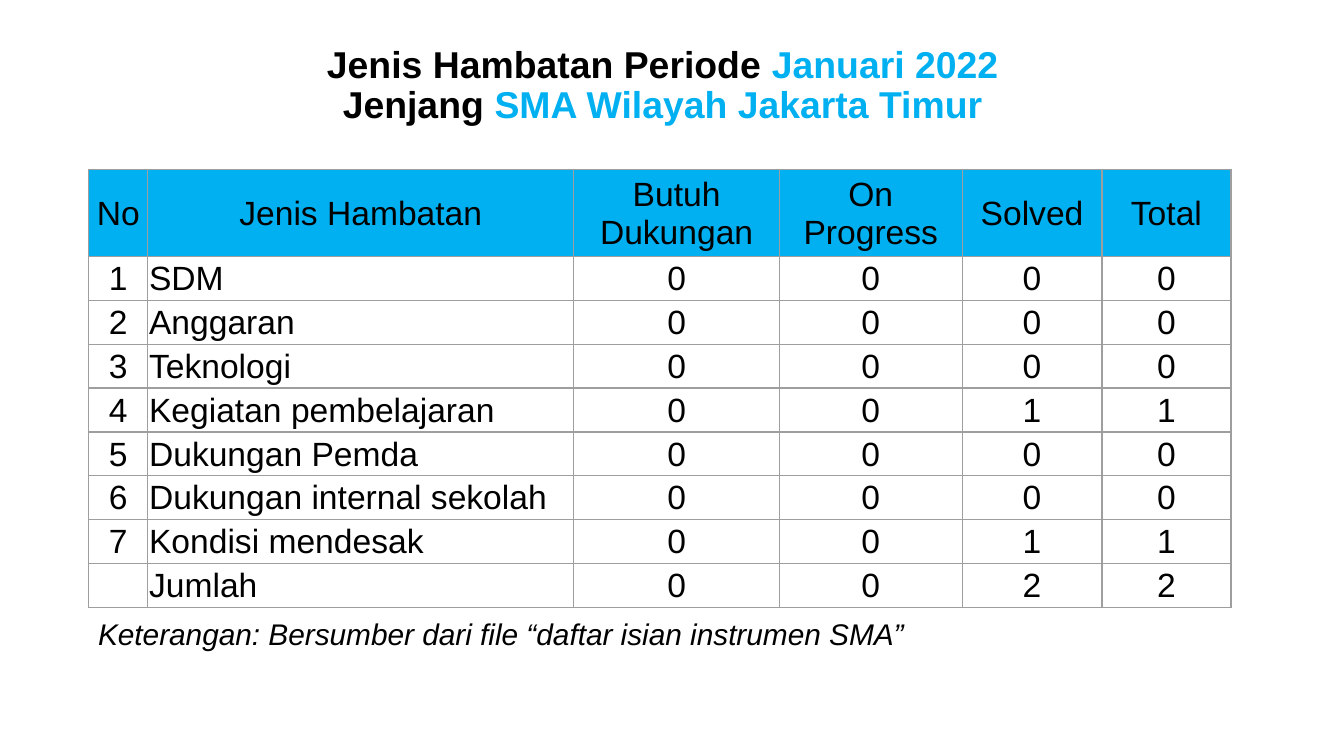
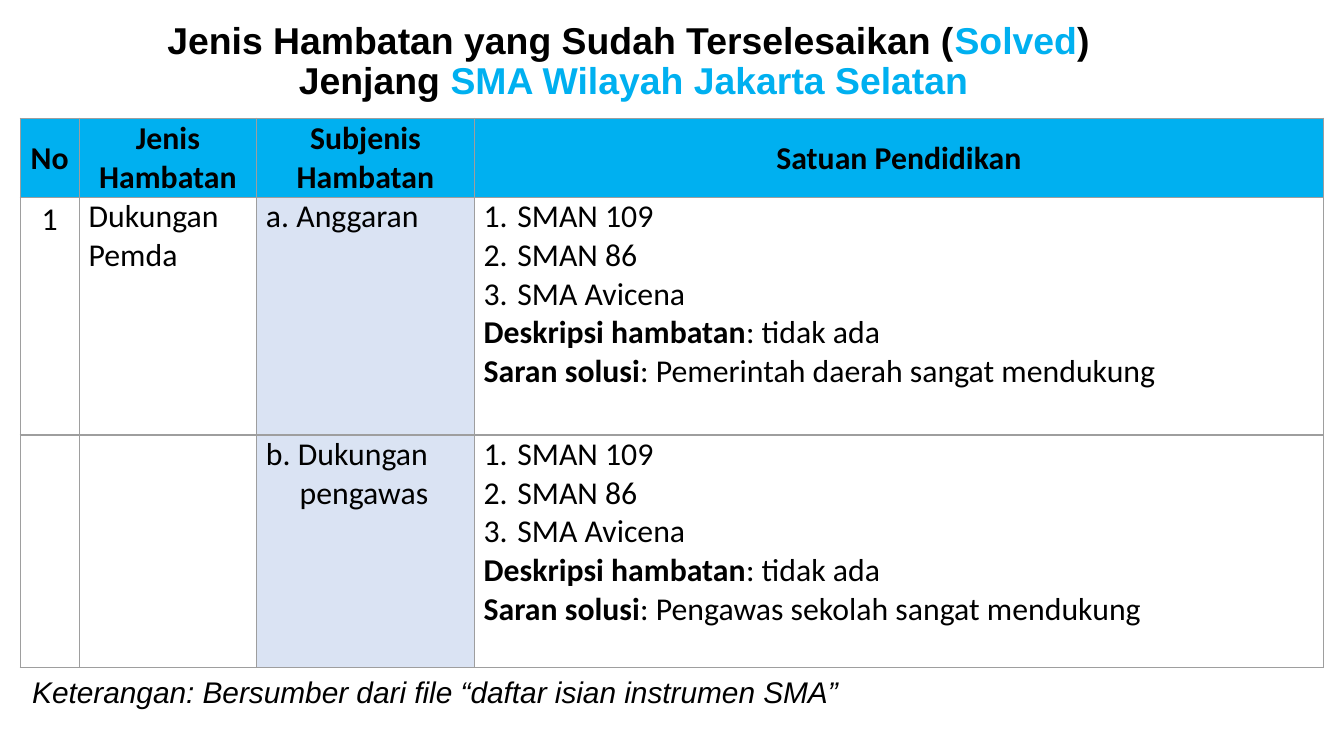
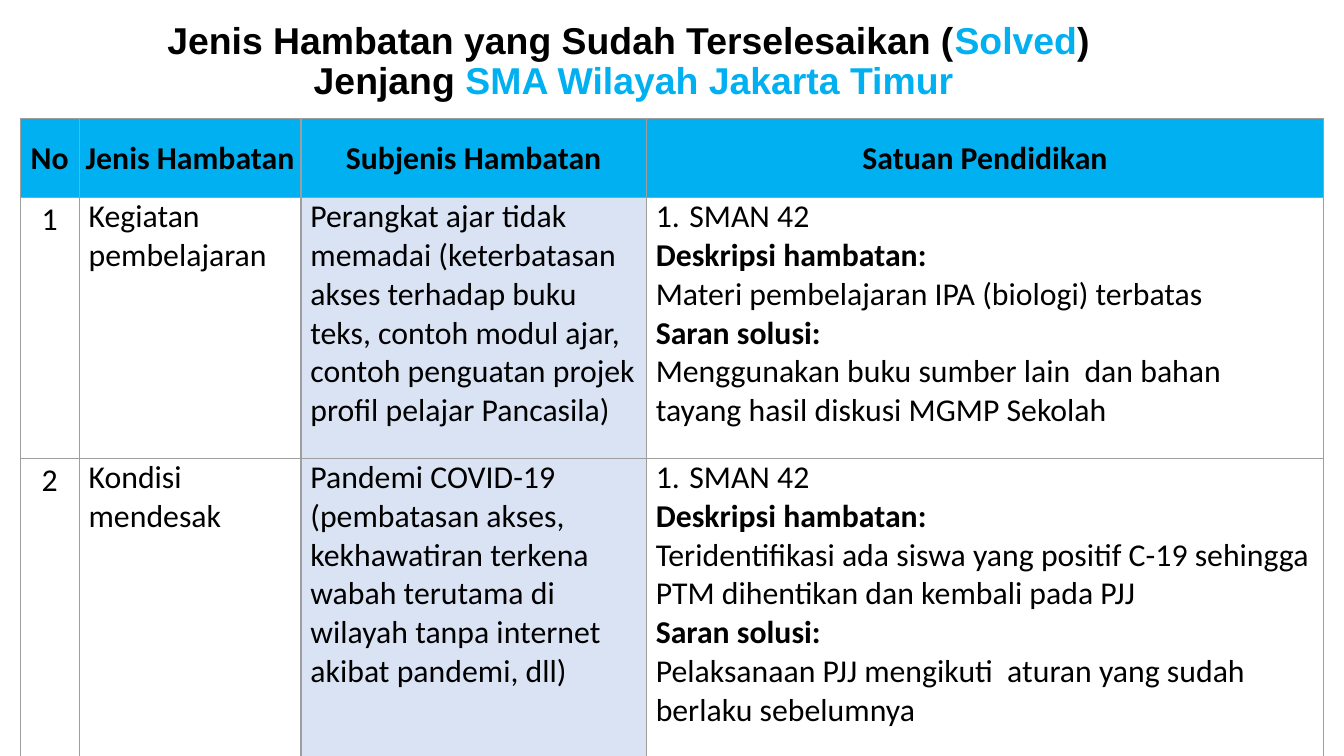
from copy import deepcopy

from lxml.etree import SubElement
from pptx import Presentation
from pptx.dml.color import RGBColor
from pptx.enum.text import MSO_ANCHOR, MSO_AUTO_SIZE, PP_ALIGN
from pptx.oxml import parse_xml
from pptx.oxml.ns import nsdecls, qn
from pptx.util import Inches, Pt

BLACK = RGBColor(0x00, 0x00, 0x00)
SKY = RGBColor(0x00, 0xB0, 0xF0)
PALE = RGBColor(0xDA, 0xE3, 0xF3)
GRID = RGBColor(0x9E, 0x9E, 0x9E)

SOURCE_NOTE = "Keterangan: Bersumber dari file “daftar isian instrumen SMA”"
SUMMARY_HEADER = ["No", "Jenis Hambatan", "Butuh Dukungan", "On Progress", "Solved", "Total"]
SOLVED_HEADER = ["No", "Jenis Hambatan", "Subjenis Hambatan", "Satuan Pendidikan"]
SUMMARY = [
    ("1", "SDM", 0, 0, 0, 0),
    ("2", "Anggaran", 0, 0, 0, 0),
    ("3", "Teknologi", 0, 0, 0, 0),
    ("4", "Kegiatan pembelajaran", 0, 0, 1, 1),
    ("5", "Dukungan Pemda", 0, 0, 0, 0),
    ("6", "Dukungan internal sekolah", 0, 0, 0, 0),
    ("7", "Kondisi mendesak", 0, 0, 1, 1),
    ("", "Jumlah", 0, 0, 2, 2),
]
SOUTH_SCHOOLS = ["SMAN 109", "SMAN 86", "SMA Avicena"]
EAST_SCHOOLS = ["SMAN 42"]
SOUTH = [
    ("1", "Dukungan Pemda", "a. Anggaran", SOUTH_SCHOOLS, [
        ("Deskripsi hambatan", ": tidak ada"),
        ("Saran solusi", ": Pemerintah daerah sangat mendukung")]),
    ("", "", "b. Dukungan pengawas", SOUTH_SCHOOLS, [
        ("Deskripsi hambatan", ": tidak ada"),
        ("Saran solusi", ": Pengawas sekolah sangat mendukung")]),
]
EAST = [
    ("1", "Kegiatan pembelajaran",
     "Perangkat ajar tidak memadai (keterbatasan akses terhadap buku teks, contoh modul ajar, "
     "contoh penguatan projek profil pelajar Pancasila)", EAST_SCHOOLS, [
         ("Deskripsi hambatan:", ""),
         ("", "Materi pembelajaran IPA (biologi) terbatas"),
         ("Saran solusi:", ""),
         ("", "Menggunakan buku sumber lain  dan bahan tayang hasil diskusi MGMP Sekolah")]),
    ("2", "Kondisi mendesak",
     "Pandemi COVID-19 (pembatasan akses,  kekhawatiran terkena wabah terutama di wilayah "
     "tanpa internet akibat pandemi, dll)", EAST_SCHOOLS, [
         ("Deskripsi hambatan:", ""),
         ("", "Teridentifikasi ada siswa yang positif C-19 sehingga PTM dihentikan dan kembali "
              "pada PJJ"),
         ("Saran solusi:", ""),
         ("", "Pelaksanaan PJJ mengikuti  aturan yang sudah berlaku sebelumnya")]),
]


def style_font(font, size, face, color=BLACK, bold=False, italic=False):
    """Apply size, face, colour and emphasis to a font."""
    font.size, font.name = Pt(size), face
    font.color.rgb = color
    font.bold, font.italic = bold, italic


def set_frame(frame, horizontal, vertical):
    """Give a text frame wrapping, fixed size, margins and a middle anchor."""
    frame.word_wrap = True
    frame.auto_size = MSO_AUTO_SIZE.NONE
    frame.margin_left = frame.margin_right = Inches(horizontal)
    frame.margin_top = frame.margin_bottom = Inches(vertical)
    frame.vertical_anchor = MSO_ANCHOR.MIDDLE


def add_title_slide(prs, box, lines):
    """Add a slide whose title lines are pieces, every second one in sky blue."""
    slide = prs.slides.add_slide(prs.slide_layouts[5])
    title = slide.shapes.title
    title.left, title.top, title.width, title.height = map(Inches, box)
    set_frame(title.text_frame, 0.07, 0.04)
    heading = title.text_frame.paragraphs[0]
    heading.alignment, heading.line_spacing = PP_ALIGN.CENTER, 0.9
    for number, pieces in enumerate(lines):
        if number:
            heading.add_line_break()
        for index, piece in enumerate(pieces):
            run = heading.add_run()
            run.text = piece
            style_font(run.font, 20, "Arial", SKY if index % 2 else BLACK, bold=True)
    for line_break in heading._p.findall(qn("a:br")):
        line_break.insert(0, deepcopy(heading.runs[0]._r.rPr))
    return slide


def add_source_note(slide, left, top):
    """Add the italic source line below a table."""
    note = slide.shapes.add_textbox(Inches(left), Inches(top), Inches(9.17), Inches(0.44))
    set_frame(note.text_frame, 0.07, 0.04)
    note.text_frame.text = SOURCE_NOTE
    line = note.text_frame.paragraphs[0]
    line.line_spacing = 0.9
    style_font(line.runs[0].font, 16, "Arial", italic=True)


def add_grid(slide, left, top, widths, heights):
    """Add a plain bordered table with the given column widths and row heights."""
    table = slide.shapes.add_table(
        len(heights), len(widths), Inches(left), Inches(top),
        Inches(sum(widths)), Inches(sum(heights))).table
    table.first_row = table.horz_banding = False
    for column, width in zip(table.columns, widths):
        column.width = Inches(width)
    for row, height in zip(table.rows, heights):
        row.height = Inches(height)
    for cell in table.iter_cells():
        cell.fill.background()
        cell.margin_left = cell.margin_right = cell.margin_top = Inches(0.01)
        cell.margin_bottom = 0
        for index, side in enumerate(("lnL", "lnR", "lnT", "lnB")):
            cell._tc.tcPr.insert(index, parse_xml(
                f'<a:{side} {nsdecls("a")} w="{Pt(0.75)}"><a:solidFill>'
                f'<a:srgbClr val="{GRID}"/></a:solidFill></a:{side}>'))
    return table


def fill_cell(cell, text, size, face, color=None, centred=True, bold=False):
    """Write one styled paragraph in a cell, with an optional fill."""
    cell.text = text
    cell.vertical_anchor = MSO_ANCHOR.MIDDLE
    if color is not None:
        cell.fill.solid()
        cell.fill.fore_color.rgb = color
    paragraph = cell.text_frame.paragraphs[0]
    paragraph.alignment = PP_ALIGN.CENTER if centred else PP_ALIGN.LEFT
    for run in paragraph.runs:
        style_font(run.font, size, face, bold=bold)
    return paragraph


def hang(paragraph):
    """Give a paragraph a hanging indent."""
    properties = paragraph._p.get_or_add_pPr()
    properties.set("marL", str(Inches(0.25)))
    properties.set("indent", str(Inches(-0.25)))
    return properties


def number_item(paragraph):
    """Make a paragraph an item of a black numbered list."""
    properties = hang(paragraph)
    bullet_color = SubElement(properties, qn("a:buClr"))
    SubElement(bullet_color, qn("a:srgbClr")).set("val", str(BLACK))
    SubElement(properties, qn("a:buAutoNum")).set("type", "arabicPeriod")


def fill_schools(cell, schools, remarks):
    """Write the numbered schools and then the remarks with bold labels."""
    lines = [("", school) for school in schools] + remarks
    for index, pieces in enumerate(lines):
        frame = cell.text_frame
        paragraph = frame.add_paragraph() if index else frame.paragraphs[0]
        if index < len(schools):
            number_item(paragraph)
        for piece, bold in zip(pieces, (True, False)):
            if piece:
                run = paragraph.add_run()
                run.text = piece
                style_font(run.font, 17, "Calibri", bold=bold)


def add_summary_table(slide):
    """Add the table that counts obstacles by kind and status."""
    header_height, table_height = 0.65, 3.26
    row_height = (table_height - header_height) / len(SUMMARY)
    table = add_grid(slide, 0.66, 1.26, [0.44, 3.17, 1.53, 1.36, 1.04, 0.96],
                     [header_height] + [row_height] * len(SUMMARY))
    for column, label in enumerate(SUMMARY_HEADER):
        fill_cell(table.cell(0, column), label, 18, "Arial", SKY)
    for row, record in enumerate(SUMMARY, 1):
        for column, value in enumerate(record):
            fill_cell(table.cell(row, column), str(value), 18, "Arial", centred=column != 1)


def add_solved_table(slide, widths, heights, records, hanging=False):
    """Add the table of solved obstacles with their schools and remarks."""
    table = add_grid(slide, 0.15, 0.88, widths, heights)
    for column, label in enumerate(SOLVED_HEADER):
        fill_cell(table.cell(0, column), label, 17, "Calibri", SKY, bold=True)
    for row, (number, kind, subkind, schools, remarks) in enumerate(records, 1):
        cells = table.rows[row].cells
        fill_cell(cells[0], number, 17, "Calibri").line_spacing = 1.07
        fill_cell(cells[1], kind, 17, "Calibri", centred=False)
        detail = fill_cell(cells[2], subkind, 17, "Calibri", PALE, centred=False)
        if hanging:
            hang(detail)
        fill_schools(cells[3], schools, remarks)
        for column, cell in enumerate(cells):
            cell.vertical_anchor = MSO_ANCHOR.TOP
            cell.margin_left = cell.margin_right = Inches(0.07 if column else 0)
            cell.margin_top = 0


def add_solved_slide(prs, region):
    """Add a slide titled for the solved obstacles of one region."""
    return add_title_slide(prs, (0.09, 0.01, 9.25, 0.91), [
        ("Jenis Hambatan yang Sudah Terselesaikan (", "Solved", ") "),
        ("Jenjang ", region)])


def main():
    """Build the three slides and save them."""
    prs = Presentation()
    prs.slide_width = Inches(10)
    prs.slide_height = prs.slide_width * 9 // 16

    summary = add_title_slide(prs, (0.66, 0.19, 8.62, 0.91), [
        ("Jenis Hambatan Periode ", "Januari 2022 "),
        ("Jenjang ", "SMA Wilayah Jakarta Timur ")])
    add_summary_table(summary)
    add_source_note(summary, 0.66, 4.51)

    south = add_solved_slide(prs, "SMA Wilayah Jakarta Selatan")
    add_solved_table(south, [0.44, 1.32, 1.62, 6.32], [0.55, 1.77, 1.73], SOUTH, hanging=True)
    add_source_note(south, 0.17, 4.94)

    east = add_solved_slide(prs, "SMA Wilayah Jakarta Timur")
    add_solved_table(east, [0.44, 1.65, 2.57, 5.04], [0.59, 1.94, 2.22], EAST)

    prs.save("out.pptx")


if __name__ == "__main__":
    main()
